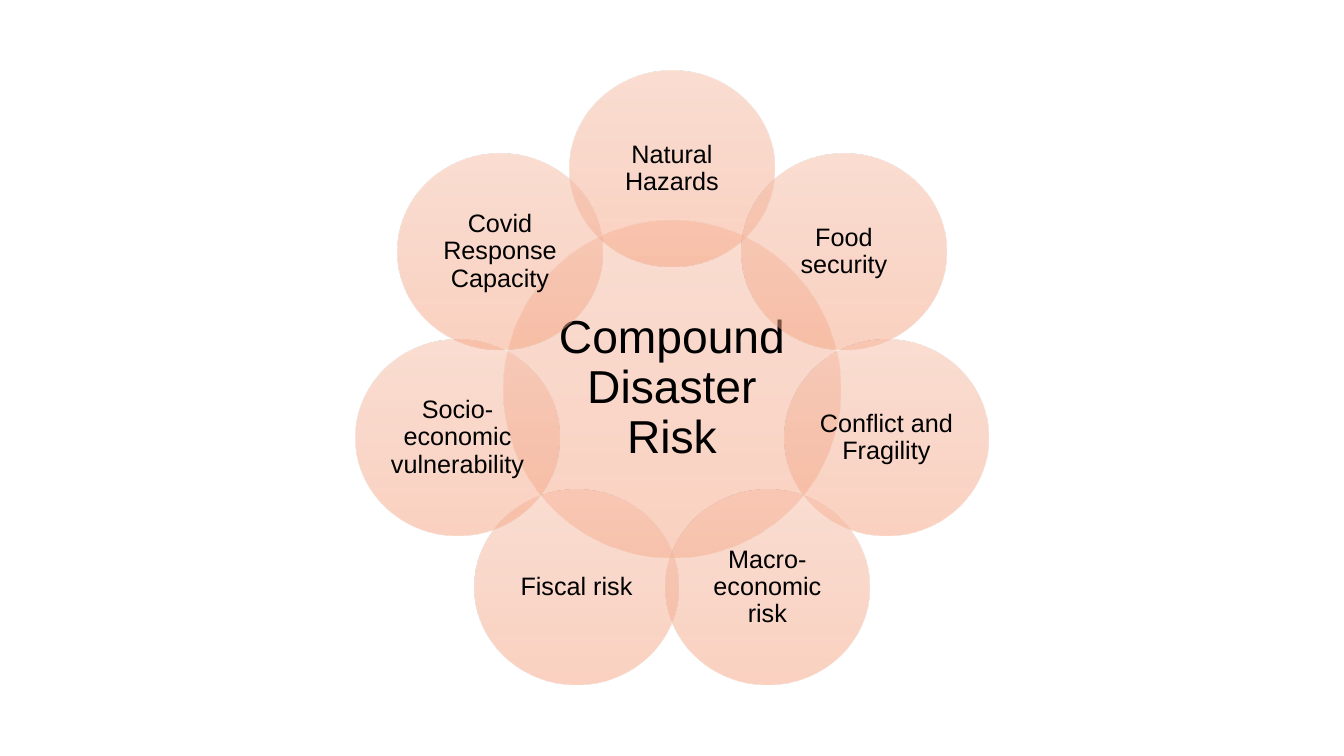
import math
from lxml import etree
from pptx import Presentation
from pptx import util as u
from pptx.dml.color import RGBColor
from pptx.enum import shapes, text
from pptx.oxml.ns import qn

COLORS = {"top": "F7BDA5", "middle": "F5B196", "bottom": "F8A582", "text": "000000"}
STOPS = [("top", 0), ("middle", 50), ("bottom", 100)]
OPACITY = 50
RISKS = [
    "Natural Hazards",
    "Food security",
    "Conflict and Fragility",
    "Macro-economic risk",
    "Fiscal risk",
    "Socio-economic vulnerability",
    "Covid Response Capacity",
]


def fill_gradient(sp):
    sp.fill.gradient()
    sp.fill.gradient_angle = 270
    stops = sp._element.spPr.find(qn("a:gradFill")).find(qn("a:gsLst"))
    for old in list(stops):
        stops.remove(old)
    for name, pos in STOPS:
        gs = etree.SubElement(stops, qn("a:gs"), pos=str(pos * 1000))
        clr = etree.SubElement(gs, qn("a:srgbClr"), val=COLORS[name])
        etree.SubElement(clr, qn("a:alpha"), val=str(OPACITY * 1000))


def add_circle(slide, cx, cy, w, h, label, size, inset):
    sp = slide.shapes.add_shape(
        shapes.MSO_SHAPE.OVAL, u.Pt(cx - w / 2), u.Pt(cy - h / 2), u.Pt(w), u.Pt(h))
    sp.shadow.inherit = False
    sp.line.fill.background()
    fill_gradient(sp)
    tf = sp.text_frame
    frame = {"word_wrap": True, "vertical_anchor": text.MSO_ANCHOR.MIDDLE}
    for side in ("left", "top", "right", "bottom"):
        frame["margin_" + side] = u.Pt(inset)
    p = tf.paragraphs[0]
    r = p.add_run()
    r.text = label
    formats = [
        (tf, frame),
        (p, {"alignment": text.PP_ALIGN.CENTER, "line_spacing": 0.9}),
        (r.font, {"name": "Arial", "size": u.Pt(size)}),
    ]
    for target, values in formats:
        for key, value in values.items():
            setattr(target, key, value)
    r.font.color.rgb = RGBColor.from_string(COLORS["text"])


def add_radial_venn(slide, x, y, w, h):
    cx, cy = x + w / 2, y + h / 2
    hub, orbit = 240.6, 157.1
    add_circle(slide, cx, cy, hub, hub, "Compound Disaster Risk", 33, 3.6)
    for i, risk in enumerate(RISKS):
        angle = 2 * math.pi * i / len(RISKS)
        add_circle(slide, cx + orbit * math.sin(angle), cy - orbit * math.cos(angle),
                   145.8, 139.8, risk, 18, 2.2)


def main():
    prs = Presentation()
    prs.slide_width, prs.slide_height = u.Pt(960), u.Pt(540)
    slide = prs.slides.add_slide(prs.slide_layouts[6])
    add_radial_venn(slide, 253, 50.8, 454, 454)
    prs.save("out.pptx")


if __name__ == "__main__":
    main()
